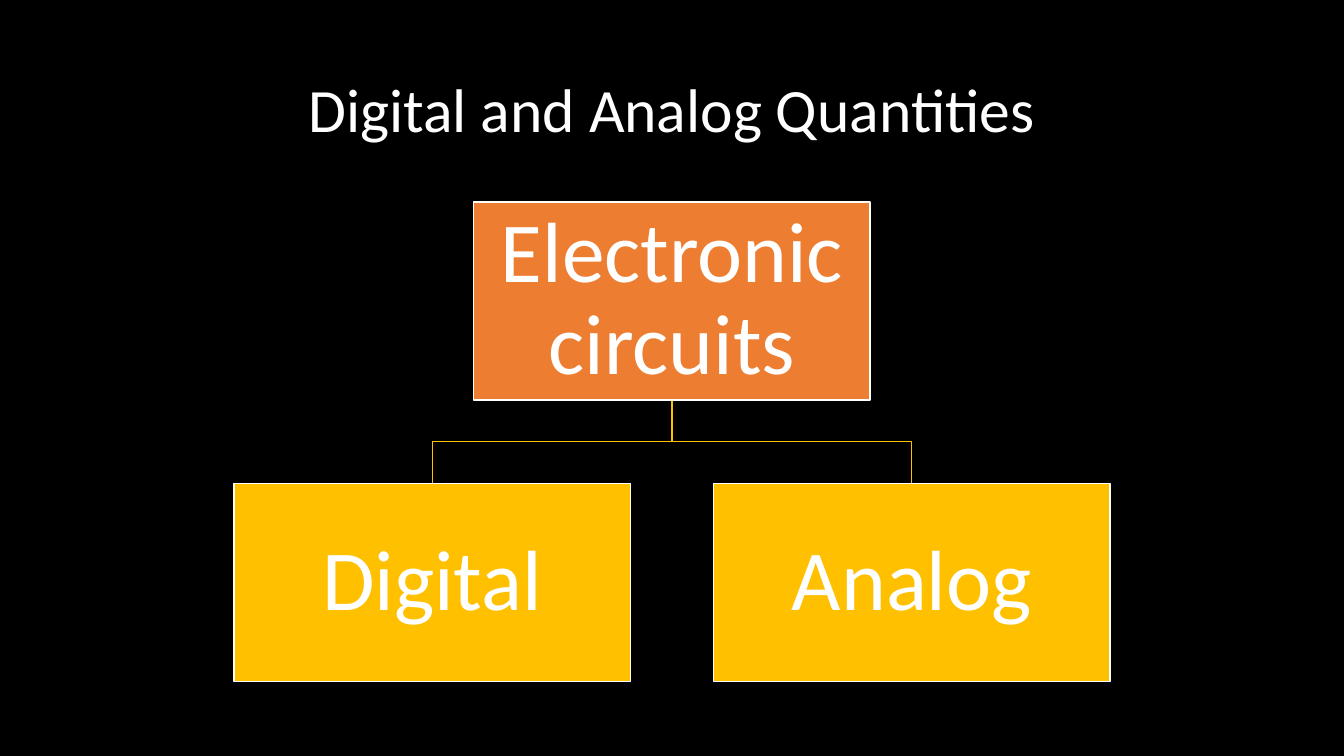
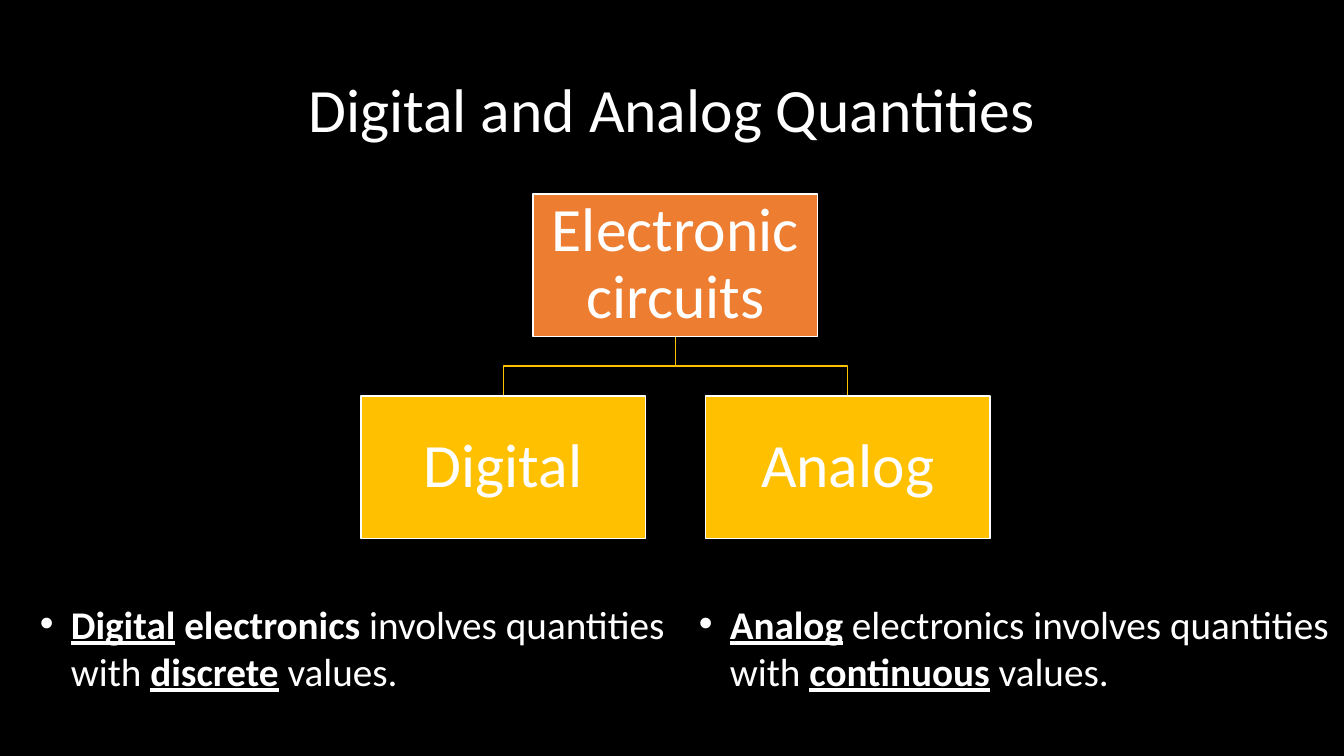
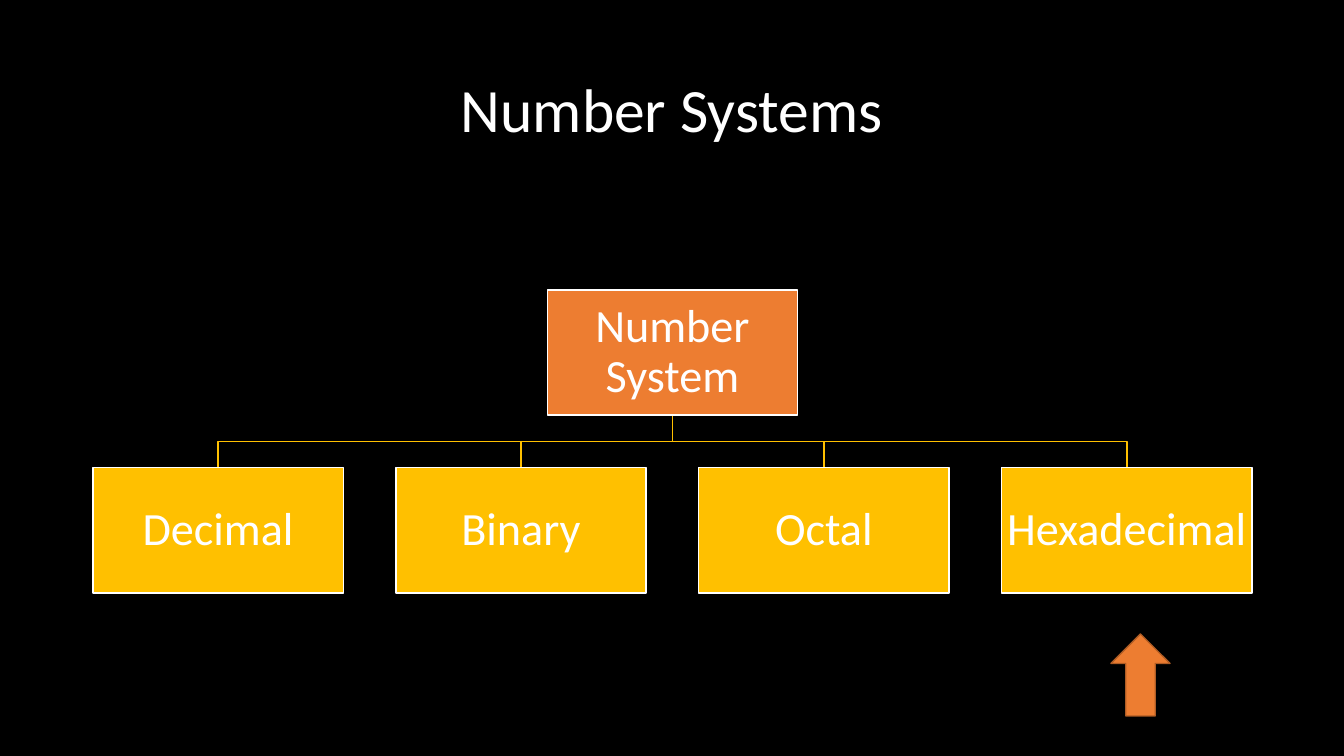
from lxml import etree
from pptx import Presentation
from pptx.dml.color import RGBColor
from pptx.enum.shapes import MSO_SHAPE
from pptx.enum.text import MSO_ANCHOR, MSO_AUTO_SIZE, PP_ALIGN
from pptx.oxml.ns import qn
from pptx.util import Emu, Pt

RECT, UP_ARROW = MSO_SHAPE.RECTANGLE, MSO_SHAPE.UP_ARROW
MIDDLE, CENTER, NO_FIT = MSO_ANCHOR.MIDDLE, PP_ALIGN.CENTER, MSO_AUTO_SIZE.NONE
TITLE_ONLY = 5
SLIDE_W, SLIDE_H = 1344, 756
BLACK, WHITE, ORANGE, GOLD, RUST = "000000", "FFFFFF", "ED7D31", "FFC000", "AF5C24"
FONT = "Calibri"
GAP_RATIO = 0.21


def px(n):
    """Turn slide pixels into EMU."""
    return Emu(round(n * 12192000 / SLIDE_W))


def rgb(color):
    """Turn a hex string into a colour."""
    return RGBColor.from_string(color)


def style_text(p, size):
    """Apply the shared font to a paragraph."""
    p.font.name, p.font.size = FONT, Pt(size)
    p.font.color.rgb = rgb(WHITE)


def center_text(tf, text, size):
    """Write one centred line of text in the middle of a frame."""
    tf.word_wrap, tf.auto_size, tf.vertical_anchor = True, NO_FIT, MIDDLE
    p = tf.paragraphs[0]
    p.text, p.alignment, p.line_spacing = text, CENTER, 0.9
    style_text(p, size)


def add_block(slide, kind, box, fill, line):
    """Add a filled, outlined preset shape."""
    sp = slide.shapes.add_shape(kind, *map(px, box))
    sp.shadow.inherit = False
    sp.fill.solid()
    sp.fill.fore_color.rgb = rgb(fill)
    sp.line.color.rgb = rgb(line)
    sp.line.width = Pt(1)
    return sp


def add_node(slide, box, text, size, fill):
    """Add a labelled box of a tree."""
    tf = add_block(slide, RECT, box, fill, WHITE).text_frame
    inset = px(round(size / 15))
    tf.margin_left = tf.margin_right = tf.margin_top = tf.margin_bottom = inset
    center_text(tf, text, size)


def add_branch(slide, x1, y1, x2, y2):
    """Add an elbow line from a root down to a leaf."""
    mid = (y1 + y2) / 2
    builder = slide.shapes.build_freeform(px(x1), px(y1))
    points = [(x1, mid), (x2, mid), (x2, y2)]
    builder.add_line_segments([(px(x), px(y)) for x, y in points], close=False)
    sp = builder.convert_to_shape()
    sp.shadow.inherit = False
    sp.fill.background()
    sp.line.color.rgb = rgb(GOLD)
    sp.line.width = Pt(1)


def add_tree(slide, x, y, w, root, leaves, size):
    """Draw a root above a row of leaves spread over the given width."""
    n = len(leaves)
    node_w = w / (n + GAP_RATIO * (n - 1))
    node_h, gap = node_w / 2, node_w * GAP_RATIO
    center, leaf_y = x + w / 2, y + node_h + gap
    lefts = [x + i * (node_w + gap) for i in range(n)]
    for left in lefts:
        add_branch(slide, center, y + node_h, left + node_w / 2, leaf_y)
    add_node(slide, (center - node_w / 2, y, node_w, node_h), root, size, ORANGE)
    for left, leaf in zip(lefts, leaves):
        add_node(slide, (left, leaf_y, node_w, node_h), leaf, size, GOLD)


def add_definition(slide, box, runs):
    """Add a bulleted sentence from (text, bold, underline) runs."""
    tf = slide.shapes.add_textbox(*map(px, box)).text_frame
    tf.word_wrap = True
    p = tf.paragraphs[0]
    style_text(p, 28)
    for text, bold, underline in runs:
        r = p.add_run()
        r.text, r.font.bold, r.font.underline = text, bold, underline
    pPr = p._p.get_or_add_pPr()
    pPr.set("marL", str(px(31)))
    pPr.set("indent", str(px(-31)))
    bullet_font = etree.Element(qn("a:buFont"), typeface="Arial")
    bullet = etree.Element(qn("a:buChar"), char="•")
    pPr.insert(0, bullet_font)
    pPr.insert(1, bullet)


def add_titled_slide(prs, title):
    """Add a slide with the shared title."""
    slide = prs.slides.add_slide(prs.slide_layouts[TITLE_ONLY])
    sp = slide.shapes.title
    sp.left, sp.top, sp.width, sp.height = map(px, (92, 40, 1160, 146))
    center_text(sp.text_frame, title, 44)
    return slide


def build_quantities(prs):
    """Build the large tree of circuit types."""
    slide = add_titled_slide(prs, "Digital and Analog Quantities")
    add_tree(slide, 234, 202, 876, "Electronic circuits", ["Digital", "Analog"], 61)


def build_definitions(prs):
    """Build the small tree of circuit types with definitions below."""
    slide = add_titled_slide(prs, "Digital and Analog Quantities")
    add_tree(slide, 361, 194, 629, "Electronic circuits", ["Digital", "Analog"], 44)
    add_definition(slide, (30, 595, 671, 105), [
        ("Digital", True, True),
        (" ", False, False),
        ("electronics", True, False),
        (" involves quantities with ", False, False),
        ("discrete", True, True),
        (" values.", False, False),
    ])
    add_definition(slide, (689, 595, 671, 105), [
        ("Analog", True, True),
        (" electronics involves quantities with ", False, False),
        ("continuous", True, True),
        (" values.", False, False),
    ])


def build_number_systems(prs):
    """Build the tree of number systems with an arrow at the last one."""
    slide = add_titled_slide(prs, "Number Systems")
    leaves = ["Decimal", "Binary", "Octal", "Hexadecimal"]
    add_tree(slide, 93, 290, 1159, "Number System", leaves, 33)
    add_block(slide, UP_ARROW, (1111, 634, 59, 82), ORANGE, RUST)


def main():
    """Build and save the presentation."""
    prs = Presentation()
    prs.slide_width, prs.slide_height = px(SLIDE_W), px(SLIDE_H)
    fill = prs.slide_master.background.fill
    fill.solid()
    fill.fore_color.rgb = rgb(BLACK)
    build_quantities(prs)
    build_definitions(prs)
    build_number_systems(prs)
    prs.save("out.pptx")


if __name__ == "__main__":
    main()
